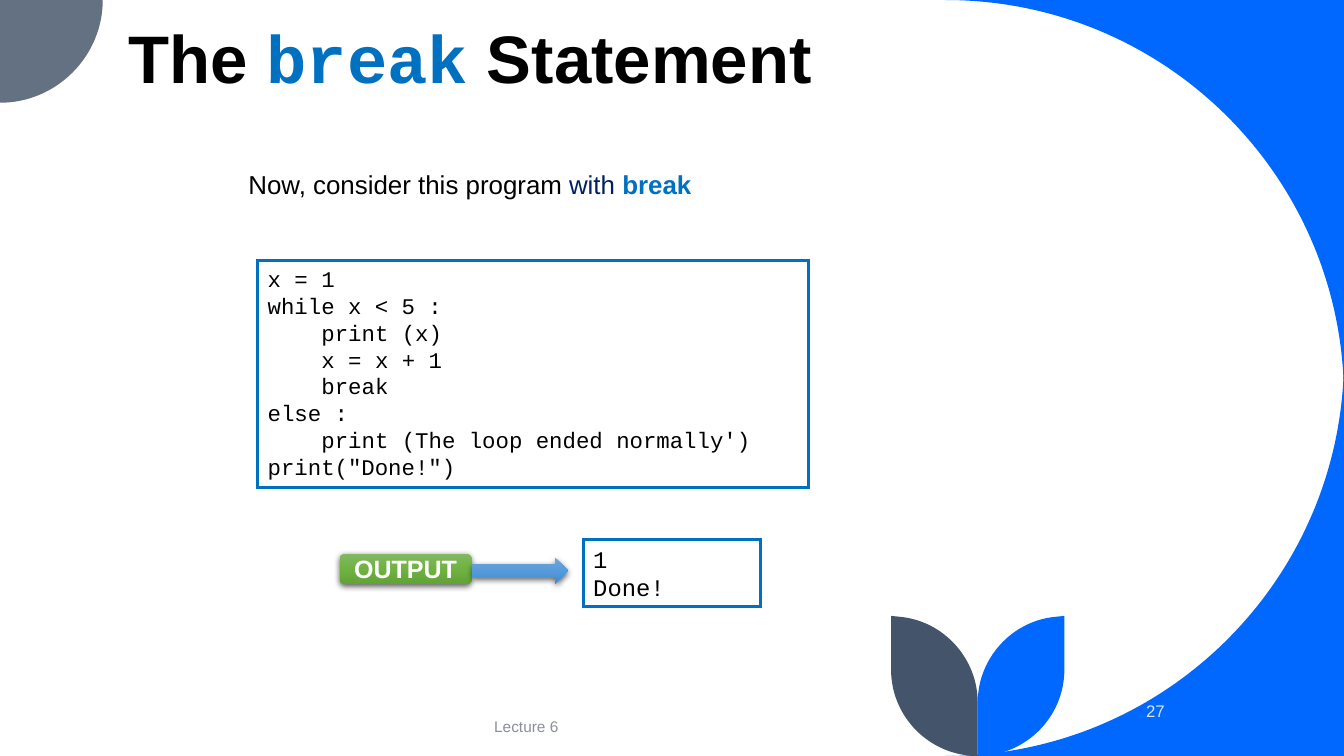
import copy
from dataclasses import dataclass

import pptx
import pptx.dml.color
import pptx.enum.shapes
import pptx.enum.text
import pptx.oxml
import pptx.oxml.ns
import pptx.util

Pt = pptx.util.Pt
qn = pptx.oxml.ns.qn
ALIGN = pptx.enum.text.PP_ALIGN
ANCHOR = pptx.enum.text.MSO_ANCHOR
SHAPE = pptx.enum.shapes.MSO_SHAPE
NAMESPACE = pptx.oxml.ns.nsdecls("a")

WIDTH, HEIGHT = 960, 540
LEAF_AXIS = 698.4
CODE_INDENT = 38.4

Point = tuple[float, float]
Box = tuple[float, float, float, float]


@dataclass
class Run:
    text: str
    size: float
    color: str = "000000"
    font: str = "Arial"
    bold: bool = False


@dataclass
class Label:
    box: Box
    runs: list[Run]
    align: ALIGN = ALIGN.LEFT
    anchor: ANCHOR = ANCHOR.MIDDLE
    spacing: float = 1.0
    space_before: float = 0


@dataclass
class CodeBox:
    box: Box
    size: float
    lines: list[tuple[int, str]]


@dataclass
class Outline:
    """Each segment holds one point (a line) or three (a Bezier curve)."""
    start: Point
    segments: list[list[Point]]
    color: str


@dataclass
class GlossyShape:
    kind: SHAPE
    box: Box
    gradient: list[str]


BLUE, ACCENT, BLACK = "0068FF", "0070C0", "000000"

CORNER = Outline((WIDTH, 0), [
    [(675.4, 0)],
    [(833, 0), (WIDTH, 127.4), (WIDTH, 284.4)],
], BLUE)
QUARTER = Outline((0, 0), [
    [(73.4, 0)],
    [(73.4, 40.3), (40.3, 73.4), (0, 73.4)],
], "637183")
LEAF = Outline((760.3, 439.9), [
    [(760.3, 478.1)],
    [(760.3, 512.6), (732.2, HEIGHT), (LEAF_AXIS, HEIGHT)],
    [(LEAF_AXIS, 501.8)],
    [(LEAF_AXIS, 470.2), (722.9, 443.5), (753.8, 440.6)],
], BLUE)

CODE_BOXES = [
    CodeBox((184.1, 185.8, 393.3, 162.4), 16, [
        (0, "x = 1"),
        (0, "while x < 5 :"),
        (1, "print (x)"),
        (1, "x = x + 1"),
        (1, "break"),
        (0, "else :"),
        (1, "print (The loop ended normally')"),
        (0, 'print("Done!")'),
    ]),
    CodeBox((416.7, 385.2, 126.3, 48.2), 17, [(0, "1"), (0, "Done!")]),
]

TITLE = Label((84.6, 0.7, 769.7, 72.7), [
    Run("The ", 48, bold=True),
    Run("break", 48, ACCENT, "Courier New", True),
    Run(" Statement", 48, bold=True),
], anchor=ANCHOR.BOTTOM, spacing=0.9)
LABELS = [
    Label((170.4, 119.5, 336.2, 33.1), [
        Run("Now, consider this program ", 18.5),
        Run("with ", 18.5, "002060"),
        Run("break", 18.5, ACCENT, bold=True),
    ], anchor=ANCHOR.TOP, spacing=0.9, space_before=10),
    Label((170.8, 504.4, 410.4, 28.8), [Run("Lecture 6", 11, "8C8F9A")], ALIGN.CENTER),
    Label((805.3, 493.6, 33.8, 28.8), [Run("27", 12, "DAE5EF")], ALIGN.RIGHT),
]

BADGE = GlossyShape(SHAPE.ROUNDED_RECTANGLE, (242.6, 395.6, 94.3, 21.6),
                    ["81B861", "6FB242", "62A336"])
ARROW = GlossyShape(SHAPE.RIGHT_ARROW, (337.5, 398.3, 68.4, 18.7),
                    ["71A6DB", "559BDB", "448ACA"])
BADGE_LABEL = Label(BADGE.box, [Run("OUTPUT", 17.9, "FFFFFF", bold=True)], ALIGN.CENTER)


def rgb(color: str) -> pptx.dml.color.RGBColor:
    return pptx.dml.color.RGBColor.from_string(color)


def in_points(box: Box) -> list[pptx.util.Length]:
    return [Pt(value) for value in box]


def mirrored(outline: Outline, color: str, axis_x: float | None = None,
             axis_y: float | None = None) -> Outline:
    def flip(point: Point) -> Point:
        x, y = point
        return (x if axis_x is None else 2 * axis_x - x,
                y if axis_y is None else 2 * axis_y - y)

    segments = [[flip(point) for point in segment] for segment in outline.segments]
    return Outline(flip(outline.start), segments, color)


def draw_outline(shapes, outline: Outline) -> None:
    """Draw the outline through its end points, then bend the curved segments."""
    builder = shapes.build_freeform(*(Pt(value) for value in outline.start))
    ends = [(Pt(x), Pt(y)) for x, y in (segment[-1] for segment in outline.segments)]
    builder.add_line_segments(ends, close=True)
    shape = builder.convert_to_shape()
    shape.shadow.inherit = False
    shape.fill.solid()
    shape.fill.fore_color.rgb = rgb(outline.color)
    shape.line.fill.background()
    lines = list(shape._element.spPr.iter(qn("a:lnTo")))
    for line, segment in zip(lines, outline.segments):
        if len(segment) == 3:
            points = "".join(f'<a:pt x="{Pt(x) - shape.left}" y="{Pt(y) - shape.top}"/>'
                             for x, y in segment)
            curve = pptx.oxml.parse_xml(
                f"<a:cubicBezTo {NAMESPACE}>{points}</a:cubicBezTo>")
            line.getparent().replace(line, curve)


def add_run(paragraph, item: Run) -> None:
    run = paragraph.add_run()
    run.text = item.text
    run.font.size = Pt(item.size)
    run.font.name = item.font
    run.font.bold = item.bold
    run.font.color.rgb = rgb(item.color)


def write_label(shape, label: Label) -> None:
    frame = shape.text_frame
    frame.word_wrap = True
    frame.auto_size = pptx.enum.text.MSO_AUTO_SIZE.NONE
    frame.vertical_anchor = label.anchor
    paragraph = frame.paragraphs[0]
    paragraph.alignment = label.align
    paragraph.line_spacing = label.spacing
    paragraph.space_before = Pt(label.space_before)
    for item in label.runs:
        add_run(paragraph, item)


def draw_code_box(shapes, code: CodeBox) -> None:
    shape = shapes.add_shape(SHAPE.RECTANGLE, *in_points(code.box))
    shape.shadow.inherit = False
    shape.fill.background()
    shape.line.color.rgb = rgb(ACCENT)
    shape.line.width = Pt(2.25)
    shape.line._ln.append(pptx.oxml.parse_xml(f'<a:miter {NAMESPACE} lim="800000"/>'))
    frame = shape.text_frame
    frame.word_wrap = True
    frame.vertical_anchor = ANCHOR.TOP
    frame.text = "\n".join(text for _, text in code.lines)
    for paragraph, (level, _) in zip(frame.paragraphs, code.lines):
        paragraph.alignment = ALIGN.LEFT
        paragraph._p.get_or_add_pPr().set("marL", str(Pt(level * CODE_INDENT)))
        font = paragraph.runs[0].font
        font.name, font.size = "Courier New", Pt(code.size)
        font.color.rgb = rgb(BLACK)


def draw_glossy_shape(shapes, item: GlossyShape):
    """Draw a shape with a three-stop vertical gradient and a soft shadow."""
    shape = shapes.add_shape(item.kind, *in_points(item.box))
    shape.line.fill.background()
    shape.fill.gradient()
    shape.fill.gradient_angle = 270
    properties = shape._element.spPr
    stops = properties.find(".//" + qn("a:gsLst"))
    stops.insert(1, copy.deepcopy(stops[0]))
    stops[1].set("pos", "50000")
    for stop, color in zip(shape.fill.gradient_stops, item.gradient):
        stop.color.rgb = rgb(color)
    properties.append(pptx.oxml.parse_xml(
        f'<a:effectLst {NAMESPACE}>'
        f'<a:outerShdw blurRad="{Pt(4.5)}" dist="{Pt(1.5)}" dir="5400000" rotWithShape="0">'
        '<a:srgbClr val="000000"><a:alpha val="63000"/></a:srgbClr>'
        '</a:outerShdw></a:effectLst>'))
    return shape


def main() -> None:
    presentation = pptx.Presentation()
    presentation.slide_width, presentation.slide_height = Pt(WIDTH), Pt(HEIGHT)
    slide = presentation.slides.add_slide(presentation.slide_layouts[5])
    shapes = slide.shapes
    title = shapes.title
    title.left, title.top, title.width, title.height = in_points(TITLE.box)
    write_label(title, TITLE)

    for outline in (CORNER, mirrored(CORNER, BLUE, axis_y=HEIGHT / 2), QUARTER,
                    LEAF, mirrored(LEAF, "44546A", axis_x=LEAF_AXIS)):
        draw_outline(shapes, outline)
    for code in CODE_BOXES:
        draw_code_box(shapes, code)
    for label in LABELS:
        write_label(shapes.add_textbox(*in_points(label.box)), label)
    write_label(draw_glossy_shape(shapes, BADGE), BADGE_LABEL)
    draw_glossy_shape(shapes, ARROW)
    presentation.save("out.pptx")


if __name__ == "__main__":
    main()
